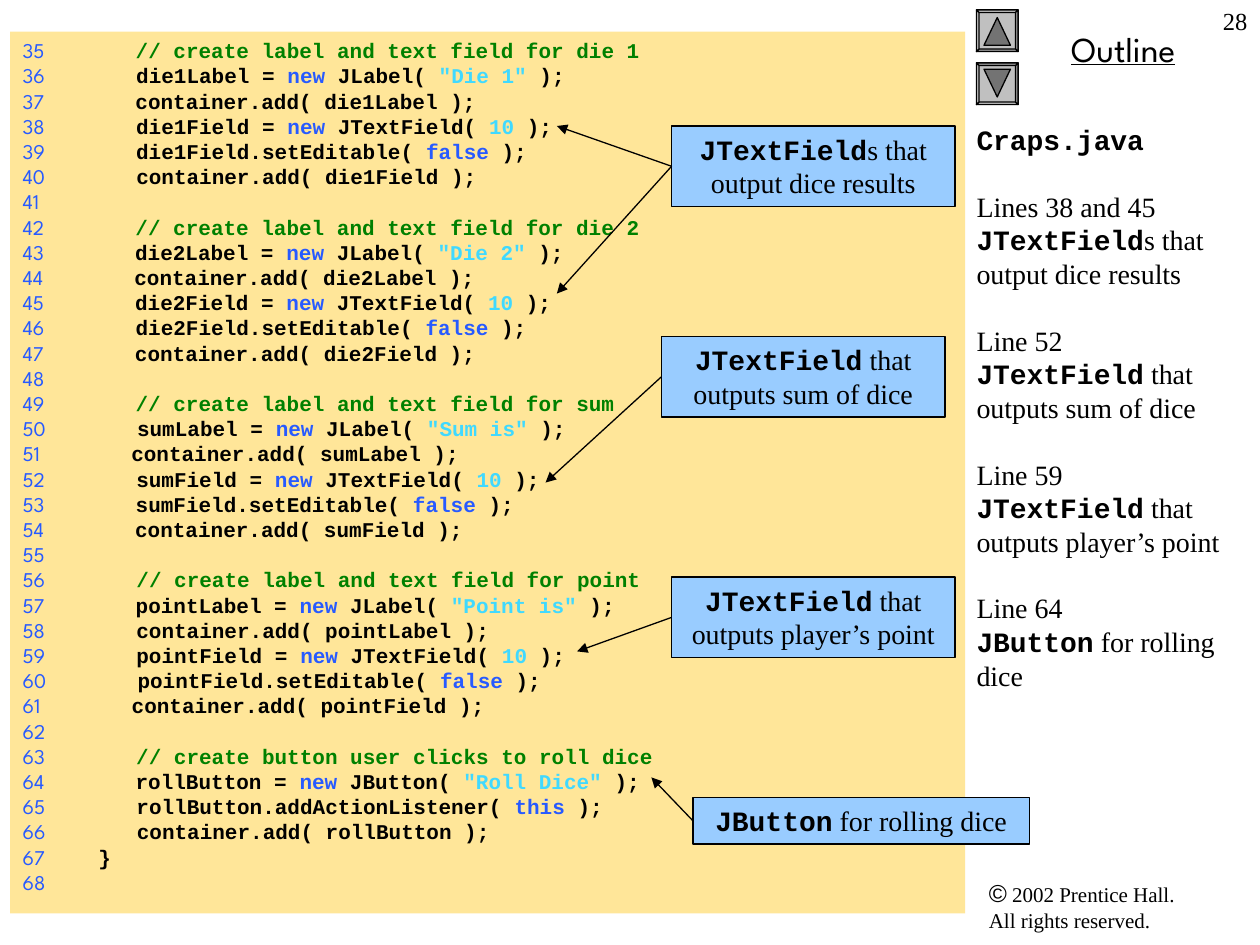
import copy

import pptx
import pptx.dml.color
import pptx.enum.dml
import pptx.enum.shapes
import pptx.enum.text
import pptx.oxml
import pptx.oxml.ns
import pptx.util
from pptx.util import Inches

MONO, SERIF, SANS = "Courier New", "Times New Roman", "League Spartan"
BLACK, BLUE, CYAN, GREEN = "000000", "275AFF", "40D9FF", "008000"
ALIGN = pptx.enum.text.PP_ALIGN
PLAIN = {"name": SERIF, "bold": False}
CODE = {"name": MONO, "bold": True}

FIELDS = [("die1", "die 1", "Die 1"), ("die2", "die 2", "Die 2"),
          ("sum", "sum", "Sum is"), ("point", "point", "Point is")]
# Line heading, caption, box, arrow tips
NOTES = [
    ("Lines 38 and 45", "*JTextField*s that output dice results",
     (5.33, 1, 2.25, 0.64), [(4.42, 2.33), (4.42, 1)]),
    ("Line 52", "*JTextField* that outputs sum of dice",
     (5.25, 2.67, 2.25, 0.64), [(4.33, 3.83)]),
    ("Line 59", "*JTextField* that outputs player’s point",
     (5.33, 4.58, 2.25, 0.64), [(4.58, 5.17)]),
    ("Line 64", "*JButton* for rolling dice",
     (5.5, 6.33, 2.67, 0.37), [(5.17, 6.17)]),
]


def color(code):
    return pptx.dml.color.RGBColor.from_string(code)


def assign(item, values):
    for key, value in values.items():
        setattr(item, key, value)


def place(shape, box):
    for key, value in zip(("left", "top", "width", "height"), box):
        setattr(shape, key, Inches(value))


def setup(shape, left=0.1):
    frame = shape.text_frame
    assign(frame, {
        "word_wrap": True, "auto_size": pptx.enum.text.MSO_AUTO_SIZE.NONE,
        "vertical_anchor": pptx.enum.text.MSO_ANCHOR.TOP,
        "margin_left": Inches(left), "margin_right": Inches(0.1),
        "margin_top": Inches(0.05), "margin_bottom": Inches(0.05)})
    return frame


def write(para, text, size, shade=BLACK, **style):
    run = para.add_run()
    run.text = text
    assign(run.font, {"size": pptx.util.Pt(size), **style})
    run.font.color.rgb = color(shade)


def mixed(para, text):
    """Write a caption; words between asterisks are code."""
    for i, part in enumerate(text.split("*")):
        if part:
            write(para, part, 16, **(CODE if i % 2 else PLAIN))


def label(slide, box, align):
    frame = setup(slide.shapes.add_textbox(*map(Inches, box)))
    frame.paragraphs[0].alignment = align
    return frame.paragraphs[0]


def listing():
    """Return the code lines as lists of (text, colour)."""
    pad = " " * 6

    def make(name, kind, arg, shade):
        return [(f"{pad}{name} = ", BLACK), ("new", BLUE),
                (f" {kind}( ", BLACK), (arg, shade), (" );", BLACK)]

    def call(name, arg, shade=BLACK):
        return [(f"{pad}{name}( ", BLACK), (arg, shade), (" );", BLACK)]

    rows = []
    for name, topic, title in FIELDS:
        rows += [
            [(f"{pad}// create label and text field for {topic}", GREEN)],
            make(f"{name}Label", "JLabel", f'"{title}"', CYAN),
            call("container.add", f"{name}Label"),
            make(f"{name}Field", "JTextField", "10", CYAN),
            call(f"{name}Field.setEditable", "false", BLUE),
            call("container.add", f"{name}Field"),
            []]
    return rows + [
        [(f"{pad}// create button user clicks to roll dice", GREEN)],
        make("rollButton", "JButton", '"Roll Dice"', CYAN),
        call("rollButton.addActionListener", "this", BLUE),
        call("container.add", "rollButton"),
        [("   }", BLACK)],
        []]


def program(slide, box):
    panel = slide.placeholders[1]
    place(panel, box)
    panel.fill.solid()
    panel.fill.fore_color.rgb = color("FFE699")
    frame = setup(panel)
    for i, row in enumerate(listing()):
        para = frame.paragraphs[0] if i == 0 else frame.add_paragraph()
        assign(para, {"alignment": ALIGN.LEFT,
                      "space_before": pptx.util.Pt(0)})
        # The code's left margin is three characters after the number
        write(para, f"{35 + i}" + ("   " if row else ""), 12, BLUE,
              name=SANS, bold=False)
        for text, shade in row:
            write(para, text, 12, shade, **CODE)


def outline(slide, box):
    title = slide.shapes.title
    place(title, box)
    frame = setup(title, left=0)
    para = frame.paragraphs[0]
    para.alignment = ALIGN.LEFT
    write(para, "Craps.java", 16, **CODE)
    for head, text, _, _ in NOTES:
        para = frame.add_paragraph()
        assign(para, {"alignment": ALIGN.LEFT,
                      "space_before": pptx.util.Pt(19)})
        write(para, head, 16, **PLAIN)
        para.add_line_break()
        mixed(para, text)


def button(slide, x, y, down):
    """Draw a bevelled square with a triangle, one shade per path."""
    s, e = 0.33, 0.02
    f = s - e
    parts = [
        ("norm", [(0, 0), (s, 0), (s, s), (0, s)]),
        ("lightenLess", [(0, 0), (s, 0), (f, e), (e, e)]),
        ("darkenLess", [(s, 0), (s, s), (f, f), (f, e)]),
        ("darkenLess", [(s, s), (0, s), (e, f), (f, f)]),
        ("lightenLess", [(0, s), (0, 0), (e, e), (e, f)]),
        ("darken", [(s / 2, 0.06), (0.27, 0.28), (0.06, 0.28)])]
    pen = None
    for _, points in parts:
        spots = [(Inches(x + a), Inches(y + (s - b if down else b)))
                 for a, b in points]
        if pen is None:
            pen = slide.shapes.build_freeform(*spots[0])
        else:
            pen.move_to(*spots[0])
        pen.add_line_segments(spots[1:], close=True)
    shape = pen.convert_to_shape()
    finish(shape, "C0C0C0")
    # Give every contour a path of its own
    whole = next(shape._element.iter(pptx.oxml.ns.qn("a:path")))
    steps = list(whole)
    starts = [i for i, step in enumerate(steps)
              if step.tag == pptx.oxml.ns.qn("a:moveTo")]
    for (tone, _), start, stop in zip(parts, starts, starts[1:] + [None]):
        path = copy.deepcopy(whole)
        for step in list(path):
            path.remove(step)
        path.extend(copy.deepcopy(steps[start:stop]))
        path.set("fill", tone)
        whole.getparent().append(path)
    whole.getparent().remove(whole)


def finish(shape, fill):
    shape.shadow.inherit = False
    shape.fill.solid()
    shape.fill.fore_color.rgb = color(fill)
    shape.line.color.rgb = color(BLACK)
    shape.line.width = pptx.util.Pt(0.75)


def callout(slide, text, box, tips):
    parts = slide.shapes.add_group_shape().shapes
    rect = parts.add_shape(pptx.enum.shapes.MSO_SHAPE.RECTANGLE,
                           *map(Inches, box))
    finish(rect, "99CCFF")
    para = setup(rect).paragraphs[0]
    para.alignment = ALIGN.CENTER
    mixed(para, text)
    for tip in tips:
        start = (box[0], box[1] + box[3] / 2)
        line = parts.add_connector(pptx.enum.shapes.MSO_CONNECTOR.STRAIGHT,
                                   *map(Inches, start + tip))
        line.begin_connect(rect, 1)
        line.line.color.rgb = color(BLACK)
        line.line.width = pptx.util.Pt(0.75)
        space = pptx.oxml.ns.nsdecls("a")
        line.line._get_or_add_ln().append(
            pptx.oxml.parse_xml(f'<a:tailEnd {space} type="triangle"/>'))
        line._element.spPr.append(
            pptx.oxml.parse_xml(f"<a:effectLst {space}/>"))


def frame(slide):
    """Place the copyright line, heading, buttons and page number."""
    para = label(slide, (7.75, 6.92, 2.17, 0.54), ALIGN.LEFT)
    write(para, "©", 14, name="Arial")
    write(para, " 2002 Prentice Hall.", 12, name=SERIF)
    para.add_line_break()
    write(para, "All rights reserved.", 12, name=SERIF)
    para = label(slide, (7.83, 0.17, 2.17, 0.44), ALIGN.CENTER)
    write(para, "Outline", 20, name=SANS, underline=True)
    button(slide, 7.75, 0.08, False)
    button(slide, 7.75, 0.5, True)
    para = label(slide, (9.5, 0, 0.5, 0.5), ALIGN.RIGHT)
    write(para, "28", 14, name=SERIF)


def main():
    deck = pptx.Presentation()
    deck.slide_width, deck.slide_height = Inches(10), Inches(7.5)
    slide = deck.slides.add_slide(deck.slide_layouts[0])
    frame(slide)
    outline(slide, (7.75, 0.92, 2.25, 6))
    program(slide, (0.08, 0.25, 7.58, 7))
    for _, text, box, tips in NOTES:
        callout(slide, text, box, tips)
    deck.save("out.pptx")


if __name__ == "__main__":
    main()
